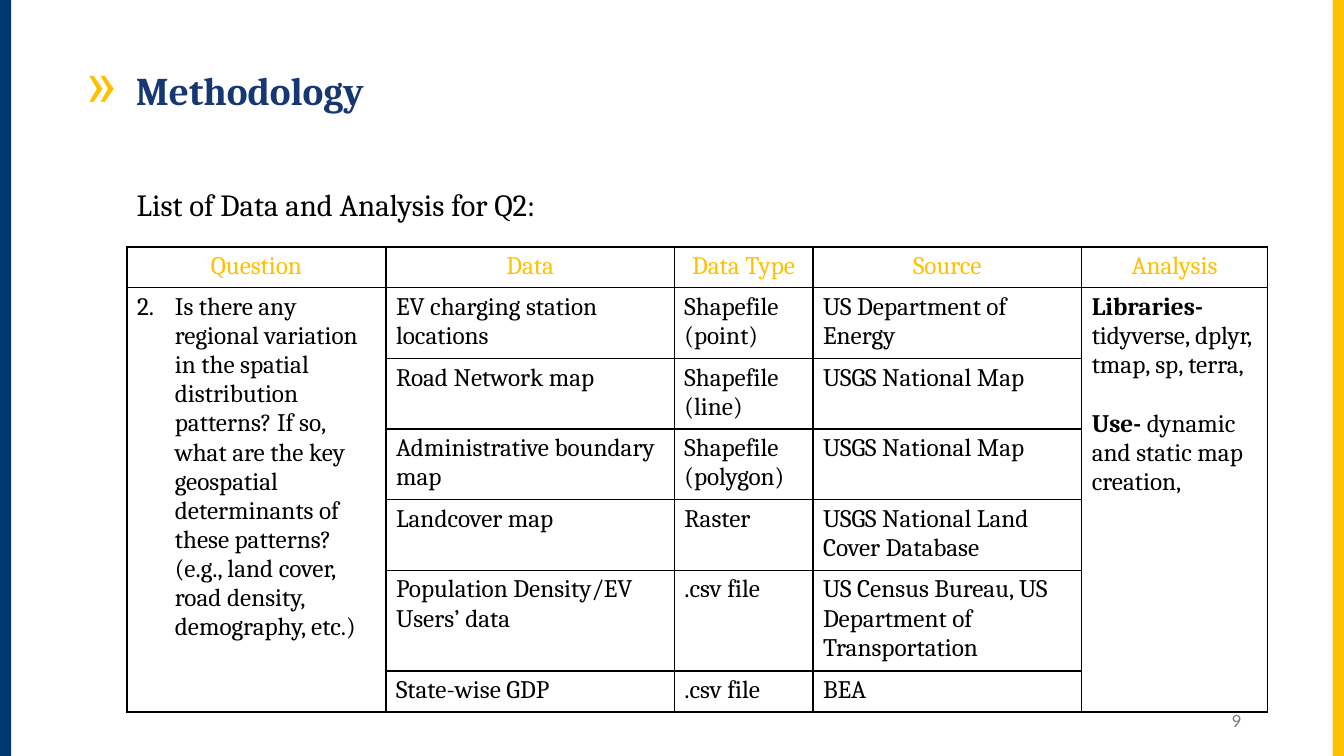
from lxml import etree
from pptx import Presentation
from pptx.dml.color import RGBColor
from pptx.enum.shapes import MSO_SHAPE
from pptx.enum.text import MSO_ANCHOR, PP_ALIGN
from pptx.oxml.ns import qn
from pptx.util import Pt

RECT = MSO_SHAPE.RECTANGLE
TOP, MIDDLE = MSO_ANCHOR.TOP, MSO_ANCHOR.MIDDLE
LEFT, CENTER, RIGHT = PP_ALIGN.LEFT, PP_ALIGN.CENTER, PP_ALIGN.RIGHT
COLORS = {"navy": "003774", "title": "163771", "gold": "FFC000",
          "black": "000000", "gray": "797979"}


class Deck:
    def __init__(self):
        self.prs = Presentation()
        self.prs.slide_width, self.prs.slide_height = Pt(960), Pt(540)
        self.slide = self.prs.slides.add_slide(self.prs.slide_layouts[6])
        self.base = {"name": "Cambria", "size": Pt(18), "bold": False}

    def color(self, key):
        return RGBColor.from_string(COLORS[key])

    def bar(self, left, width, color):
        bar = self.slide.shapes.add_shape(RECT, Pt(left), 0, Pt(width), Pt(540))
        bar.shadow.inherit = False
        bar.fill.solid()
        bar.fill.fore_color.rgb = self.color(color)
        bar.line.fill.background()

    def label(self, par, runs, color="black", align=LEFT, **style):
        par.alignment = align
        for text, bold in runs:
            run = par.add_run()
            run.text = text
            for key, value in {**self.base, "bold": bold, **style}.items():
                setattr(run.font, key, value)
            run.font.color.rgb = self.color(color)

    def mark(self, par, indent, tag, **attrs):
        props = par._p.get_or_add_pPr()
        props.set("marL", str(Pt(indent)))
        props.set("indent", str(-Pt(indent)))
        if tag == "a:buChar":
            tint = etree.SubElement(props, qn("a:buClr"))
            etree.SubElement(tint, qn("a:srgbClr"), val=COLORS["gold"])
            etree.SubElement(props, qn("a:buSzPct"), val="150000")
        etree.SubElement(props, qn(tag), **attrs)

    def text(self, box, text, anchor=TOP, bullet=None, line=None, bold=False, **style):
        frame = self.slide.shapes.add_textbox(*map(Pt, box)).text_frame
        frame.word_wrap = True
        frame.vertical_anchor = anchor
        par = frame.paragraphs[0]
        if bullet:
            self.mark(par, 36, "a:buChar", char=bullet)
        if line:
            par.line_spacing = Pt(line)
        self.label(par, [(text, bold)], **style)

    def border(self, cell):
        cell.fill.background()
        props = cell._tc.get_or_add_tcPr()
        for spot, side in enumerate(("lnL", "lnR", "lnT", "lnB")):
            line = etree.Element(qn("a:" + side), w=str(Pt(1)))
            fill = etree.SubElement(line, qn("a:solidFill"))
            etree.SubElement(fill, qn("a:srgbClr"), val=COLORS["black"])
            props.insert(spot, line)

    def table(self, left, top, widths, heights, heads, rows):
        frame = self.slide.shapes.add_table(
            len(heights), len(widths), Pt(left), Pt(top), Pt(sum(widths)), Pt(sum(heights)))
        table = frame.table
        table.first_row = table.horz_banding = False
        for col, width in zip(table.columns, widths):
            col.width = Pt(width)
        for row, height in zip(table.rows, heights):
            row.height = Pt(height)
        for cell in table.iter_cells():
            self.border(cell)
        for col, head in enumerate(heads):
            self.label(table.cell(0, col).text_frame.paragraphs[0],
                       [(head, False)], "gold", CENTER)
        for row, texts in enumerate(rows, 1):
            for col, text in enumerate(texts, 1):
                self.label(table.cell(row, col).text_frame.paragraphs[0], [(text, False)])
        return table

    def span(self, table, col):
        cell = table.cell(1, col)
        cell.merge(table.cell(len(table.rows) - 1, col))
        return cell.text_frame


HEADS = ("Question", "Data", "Data Type", "Source", "Analysis")
ROWS = (
    ("EV charging station locations", "Shapefile (point)", "US Department of Energy"),
    ("Road Network map", "Shapefile (line)", "USGS National Map"),
    ("Administrative boundary map", "Shapefile (polygon)", "USGS National Map"),
    ("Landcover map", "Raster", "USGS National Land Cover Database"),
    ("Population Density/EV Users’ data", ".csv file",
     "US Census Bureau, US Department of Transportation"),
    ("State-wise GDP", ".csv file", "BEA"),
)
QUESTION = ("Is there any regional variation in the spatial distribution patterns? "
            "If so, what are the key geospatial determinants of these patterns? "
            "(e.g., land cover, road density, demography, etc.)")


def main():
    deck = Deck()
    deck.bar(0, 8, "navy")
    deck.bar(952, 8, "gold")
    deck.text((54, 44, 875, 41), "Methodology", MIDDLE, bullet="»",
              bold=True, color="title", size=Pt(28))
    deck.text((90.5, 130.5, 819, 32), "List of Data and Analysis for Q2:",
              line=25, size=Pt(22))
    table = deck.table(90.7, 176.4, (185, 206, 99, 192, 132.5),
                       (29.2, *[50.4] * 4, 71.4, 29.2), HEADS, ROWS)
    ask = deck.span(table, 0).paragraphs[0]
    deck.mark(ask, 27, "a:buAutoNum", type="arabicPeriod", startAt="2")
    deck.label(ask, [(QUESTION, False)])
    frame = deck.span(table, 4)
    deck.label(frame.paragraphs[0],
               [("Libraries- ", True), ("tidyverse, dplyr, tmap, sp, terra,", False)])
    use = frame.add_paragraph()
    use.space_before = Pt(21)
    deck.label(use, [("Use- ", True), ("dynamic and static map creation,", False)])
    deck.text((678, 500.5, 216, 29), "9", MIDDLE, color="gray", align=RIGHT,
              name="Lato", size=Pt(12))
    deck.prs.save("out.pptx")


if __name__ == "__main__":
    main()
